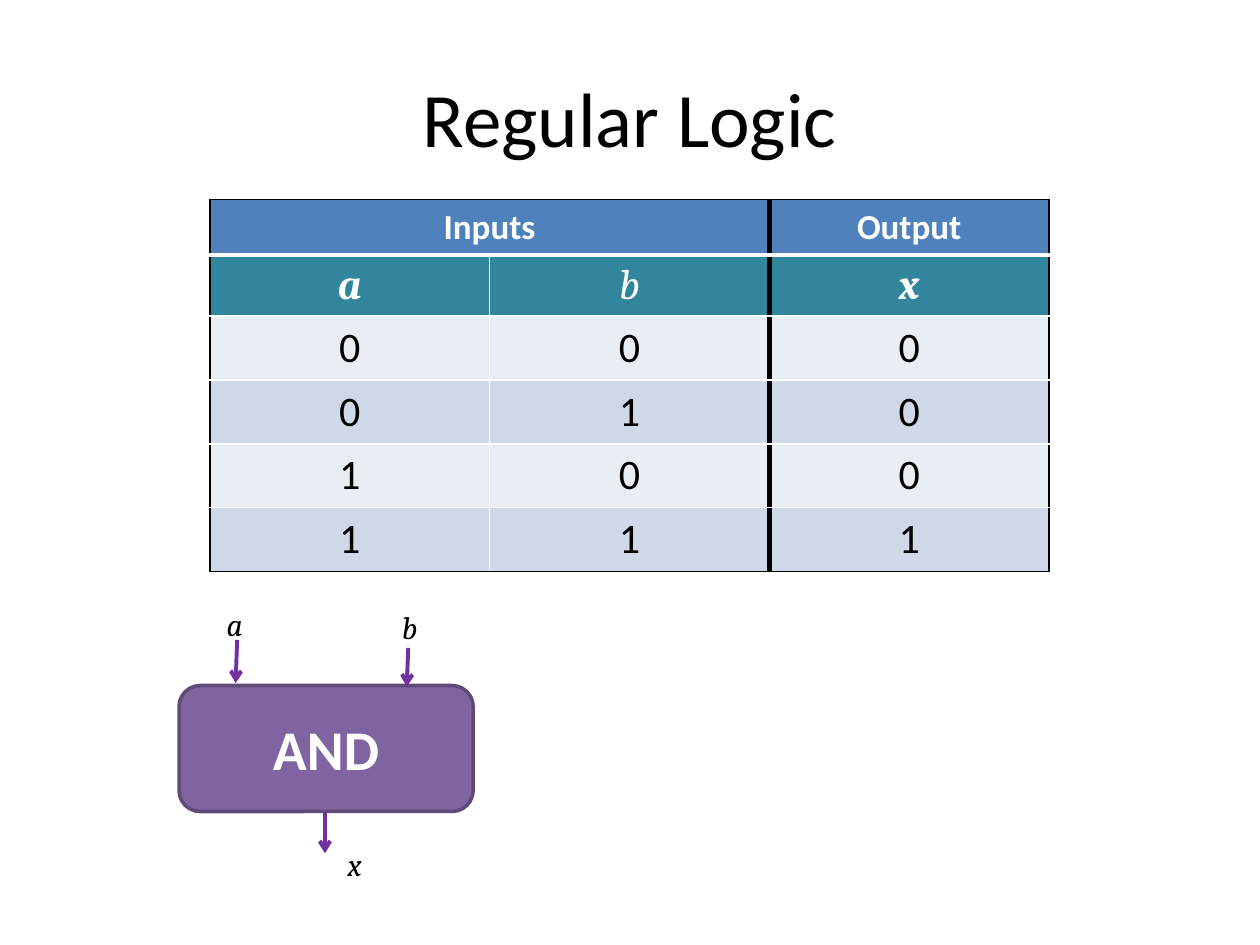
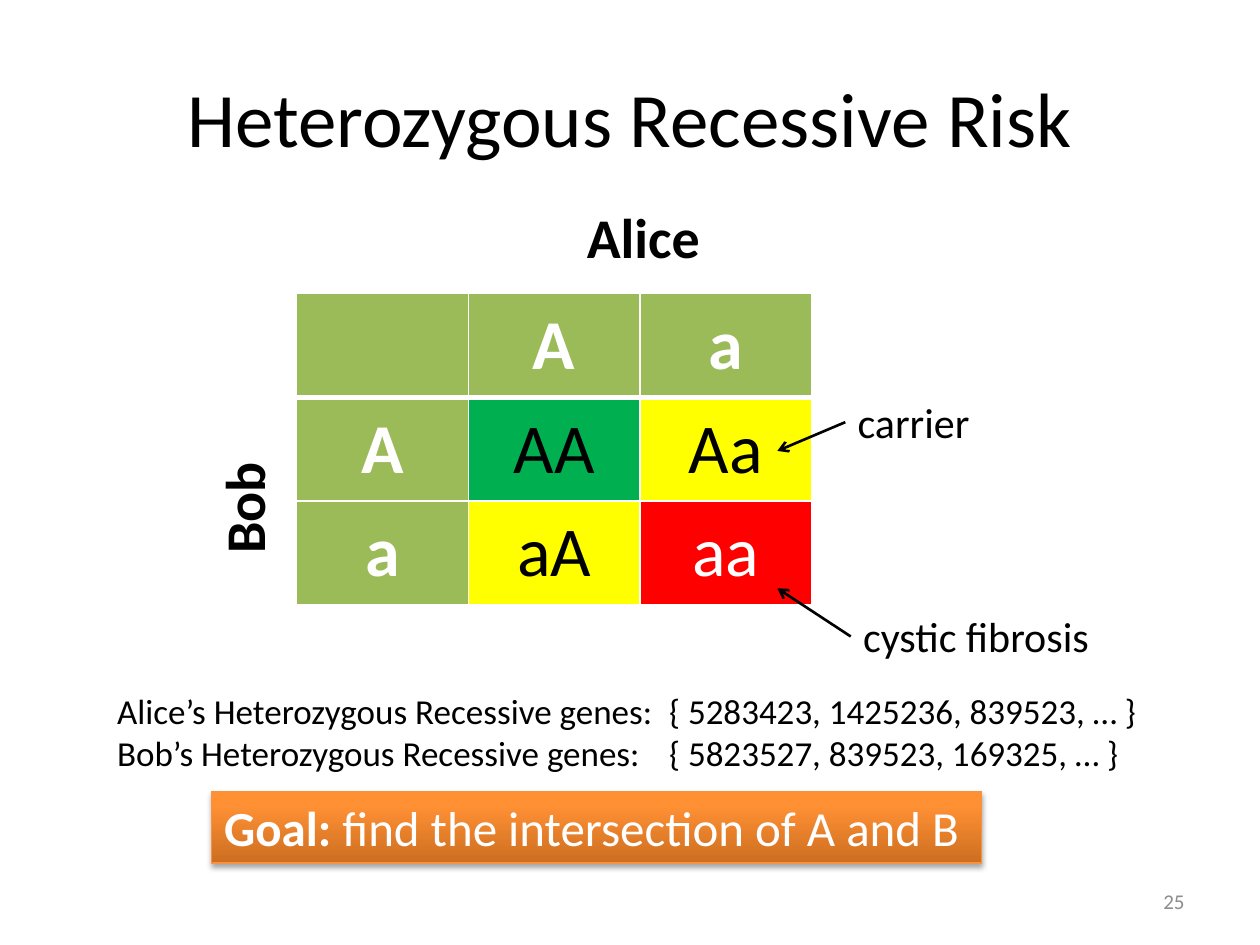
"""Build two slides: an AND truth table and a genetic risk square."""
from lxml import etree
from pptx import Presentation
from pptx import util as u
from pptx.dml.color import RGBColor
from pptx.enum import shapes, text
from pptx.oxml import ns

BLACK, WHITE = "000000", "FFFFFF"
BLUE, TEAL, PALE, MID = "4F81BD", "31859C", "E9EDF4", "D0D8E8"
OLIVE, GREEN, YELLOW, RED = "9BBB59", "00B050", "FFFF00", "FF0000"
PURPLE, GATE_FILL, GATE_LINE = "7030A0", "8064A2", "5F4A78"
CENTER, LEFT, RIGHT = text.PP_ALIGN.CENTER, text.PP_ALIGN.LEFT, text.PP_ALIGN.RIGHT
TOP, MIDDLE = text.MSO_ANCHOR.TOP, text.MSO_ANCHOR.MIDDLE


def paint(fill, colour, end=None):
    """Fill with one colour, or with a gradient rising to a second one."""
    if end is None:
        fill.solid()
        fill.fore_color.rgb = RGBColor.from_string(colour)
        return
    fill.gradient()
    fill.gradient_angle = 90
    for stop, position, shade in zip(fill.gradient_stops, (0, 0.8), (colour, end)):
        stop.position = position
        stop.color.rgb = RGBColor.from_string(shade)


def write(paragraph, content, size, colour=BLACK, font="Calibri", bold=False,
          italic=False, align=LEFT):
    """Add one formatted run to a paragraph."""
    paragraph.alignment = align
    run = paragraph.add_run()
    run.text = content
    run.font.name, run.font.size = font, u.Pt(size)
    run.font.bold, run.font.italic = bold, italic
    paint(run.font.fill, colour)


presentation = Presentation()
presentation.slide_width, presentation.slide_height = u.Cm(25.4), u.Cm(19.05)

slides = []
for heading in ("Regular Logic", "Heterozygous Recessive Risk"):
    slide = presentation.slides.add_slide(presentation.slide_layouts[5])
    title = slide.shapes.title
    title.left, title.top = u.Cm(1.27), u.Cm(0.76)
    title.width, title.height = u.Cm(22.86), u.Cm(3.18)
    title.text_frame.vertical_anchor = MIDDLE
    write(title.text_frame.paragraphs[0], heading, 44, align=CENTER)
    slides.append(slide)
logic_slide, risk_slide = slides

header = dict(size=20, colour=WHITE, bold=True)
variable = dict(size=24, colour=WHITE, font="Cambria", italic=True)
bold_variable = dict(variable, bold=True)
digit = dict(size=24)
truth_rows = [
    [("Inputs", BLUE, header), ("", BLUE, header), ("Output", BLUE, header)],
    [("a", TEAL, bold_variable), ("b", TEAL, variable), ("x", TEAL, bold_variable)],
]
for a in (0, 1):
    for b in (0, 1):
        band = MID if b else PALE
        truth_rows.append([(str(value), band, digit) for value in (a, b, a & b)])

allele = dict(size=40, colour=WHITE, bold=True)
dark_pair = dict(size=40)
light_pair = dict(size=40, colour=WHITE)
risk_rows = [
    [("", OLIVE, allele), ("A", OLIVE, allele), ("a", OLIVE, allele)],
    [("A", OLIVE, allele), ("AA", GREEN, dark_pair), ("Aa", YELLOW, dark_pair)],
    [("a", OLIVE, allele), ("aA", YELLOW, dark_pair), ("aa", RED, light_pair)],
]

thin_white, thick_white = (WHITE, 1), (WHITE, 3)
thin_black, thick_black = (BLACK, 1), (BLACK, 3)
tables = [
    (logic_slide, truth_rows, 4.23, 4.02, 5.64, [1.12, 1.23] + [1.28] * 4, TOP,
     [thin_black, thin_white, thick_black, thin_black],
     [thin_black, thick_white] + [thin_white] * 4 + [thin_black]),
    (risk_slide, risk_rows, 5.98, 5.92, 3.46, [2.09] * 3, MIDDLE,
     [thin_white] * 4, [thin_white, thick_white, thin_white, thin_white]),
]
for slide, rows, left, top, column_width, heights, anchor, verticals, horizontals in tables:
    columns = len(rows[0])
    table = slide.shapes.add_table(
        len(rows), columns, u.Cm(left), u.Cm(top),
        u.Cm(column_width * columns), u.Cm(sum(heights))).table
    table.first_row = table.horz_banding = False
    for column in table.columns:
        column.width = u.Cm(column_width)
    if rows is truth_rows:
        table.cell(0, 0).merge(table.cell(0, 1))
    for r, row in enumerate(rows):
        table.rows[r].height = u.Cm(heights[r])
        for c, (content, fill, style) in enumerate(row):
            cell = table.cell(r, c)
            cell.vertical_anchor = anchor
            span = cell.span_width if cell.is_merge_origin else 1
            edges = {"L": verticals[c], "R": verticals[c + span],
                     "T": horizontals[r], "B": horizontals[r + 1]}
            properties = cell._tc.get_or_add_tcPr()
            for side, (colour, width) in edges.items():
                border = etree.SubElement(properties, ns.qn("a:ln" + side), w=str(u.Pt(width)))
                solid = etree.SubElement(border, ns.qn("a:solidFill"))
                etree.SubElement(solid, ns.qn("a:srgbClr"), val=colour)
            paint(cell.fill, fill)
            if content:
                write(cell.text_frame.paragraphs[0], content, align=CENTER, **style)

gate = logic_slide.shapes.add_shape(
    shapes.MSO_SHAPE.ROUNDED_RECTANGLE, u.Cm(3.61), u.Cm(13.82), u.Cm(5.93), u.Cm(2.54))
gate.shadow.inherit = False
paint(gate.fill, GATE_FILL)
paint(gate.line.fill, GATE_LINE)
gate.line.width = u.Pt(2)
gate.text_frame.vertical_anchor = MIDDLE
write(gate.text_frame.paragraphs[0], "AND", 32, WHITE, bold=True, align=CENTER)

signal = dict(size=18, font="Cambria", italic=True)
person = dict(size=32, bold=True)
callout = dict(size=24)
labels = [
    (logic_slide, "a", 4.32, 12.07, 0.8, 1.02, 0, signal),
    (logic_slide, "b", 7.85, 12.14, 0.8, 1.02, 0, signal),
    (logic_slide, "x", 6.76, 16.92, 0.84, 1.02, 0, signal),
    (risk_slide, "Alice", 11.58, 3.96, 2.82, 1.63, 0, person),
    (risk_slide, "Bob", 3.71, 9.4, 2.39, 1.63, 270, person),
    (risk_slide, "carrier", 17.04, 7.87, 2.79, 1.27, 0, callout),
    (risk_slide, "cystic fibrosis", 17.15, 12.19, 5.11, 1.27, 0, callout),
    (risk_slide, "25", 18.2, 17.65, 5.93, 1.02, 0,
     dict(size=12, colour="8C8C8C", align=RIGHT)),
]
for slide, content, left, top, width, height, rotation, style in labels:
    label = slide.shapes.add_textbox(u.Cm(left), u.Cm(top), u.Cm(width), u.Cm(height))
    label.rotation = rotation
    label.text_frame.word_wrap = content == "25"
    label.text_frame.vertical_anchor = MIDDLE if content == "25" else TOP
    write(label.text_frame.paragraphs[0], content, **style)

arrows = [
    (logic_slide, PURPLE, 2.25, 4.78, 12.9, 4.75, 13.77),
    (logic_slide, PURPLE, 2.25, 8.23, 13.06, 8.2, 13.84),
    (logic_slide, PURPLE, 2.25, 6.55, 16.36, 6.55, 17.2),
    (risk_slide, BLACK, 1.5, 17.04, 8.51, 15.67, 9.09),
    (risk_slide, BLACK, 1.5, 17.15, 12.83, 15.67, 11.86),
]
for slide, colour, width, *ends in arrows:
    arrow = slide.shapes.add_connector(
        shapes.MSO_CONNECTOR.STRAIGHT, *[u.Cm(value) for value in ends])
    paint(arrow.line.fill, colour)
    arrow.line.width = u.Pt(width)
    outline = arrow.element.spPr
    etree.SubElement(outline.find(ns.qn("a:ln")), ns.qn("a:tailEnd"), type="arrow")
    etree.SubElement(outline, ns.qn("a:effectLst"))

genes = risk_slide.shapes.add_textbox(u.Cm(2.11), u.Cm(13.77), u.Cm(21.54), u.Cm(1.96))
genes.text_frame.word_wrap = True
gene_lists = [("Alice’s", "5283423, 1425236, 839523, …"),
              ("Bob’s", "5823527, 839523, 169325, …")]
for index, (owner, numbers) in enumerate(gene_lists):
    frame = genes.text_frame
    paragraph = frame.add_paragraph() if index else frame.paragraphs[0]
    tabs = etree.SubElement(paragraph._p.get_or_add_pPr(), ns.qn("a:tabLst"))
    etree.SubElement(tabs, ns.qn("a:tab"), pos=str(u.Cm(11.13)), algn="l")
    write(paragraph, f"{owner} Heterozygous Recessive genes:\t{{ {numbers} }}", 20)

goal = risk_slide.shapes.add_shape(
    shapes.MSO_SHAPE.RECTANGLE, u.Cm(4.27), u.Cm(15.95), u.Cm(15.52), u.Cm(1.45))
paint(goal.fill, "CC6E20", "FF9034")
paint(goal.line.fill, "F69240")
goal.line.width = u.Pt(0.75)
goal.shadow.inherit = False
shadow = etree.SubElement(
    goal.element.spPr.find(ns.qn("a:effectLst")), ns.qn("a:outerShdw"),
    blurRad=str(u.Pt(3.1)), dist=str(u.Pt(1.8)), dir="5400000", rotWithShape="0")
shade = etree.SubElement(shadow, ns.qn("a:srgbClr"), val=BLACK)
etree.SubElement(shade, ns.qn("a:alpha"), val="35000")
goal.text_frame.word_wrap = False
goal.text_frame.vertical_anchor = TOP
write(goal.text_frame.paragraphs[0], "Goal:", 28, WHITE, bold=True)
write(goal.text_frame.paragraphs[0], " find the intersection of A and B", 28, WHITE)

presentation.save("out.pptx")
